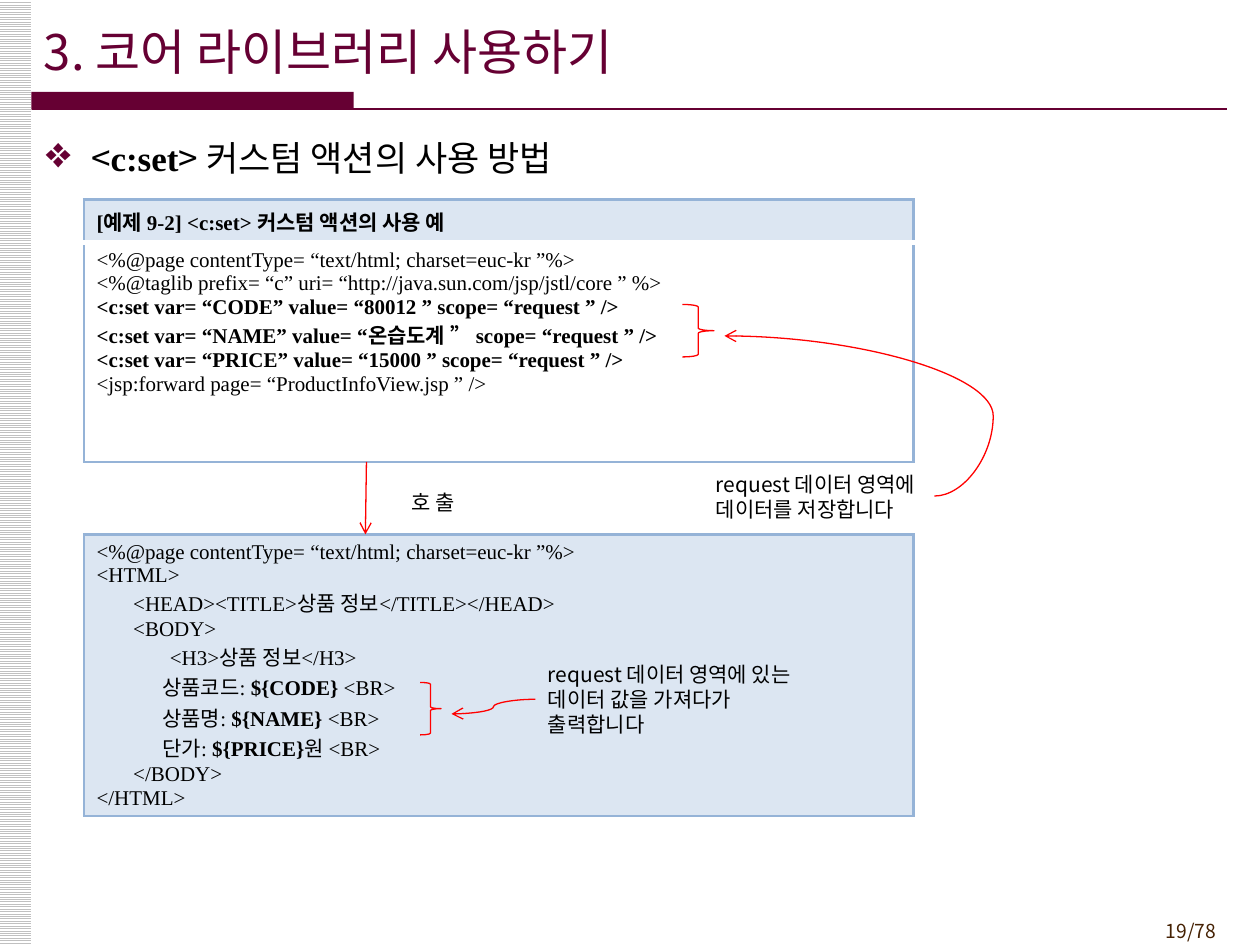
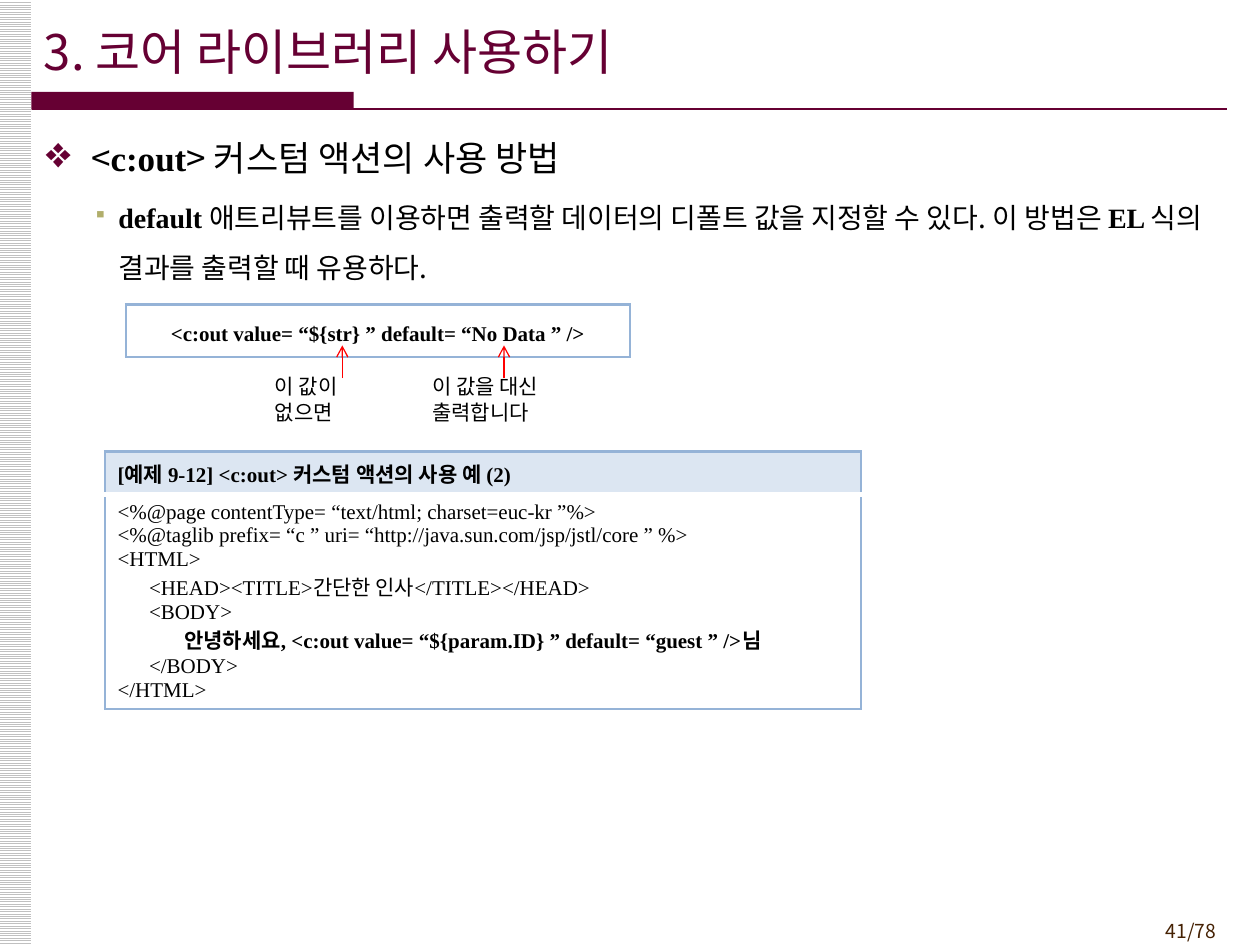
from dataclasses import dataclass

from lxml.etree import SubElement
from pptx import Presentation
from pptx.dml.color import RGBColor as RGB
from pptx.enum.dml import MSO_PATTERN as PATTERN
from pptx.enum.shapes import MSO_CONNECTOR as LINK, MSO_SHAPE as SHAPE
from pptx.enum.text import MSO_ANCHOR as ANCHOR, PP_ALIGN as ALIGN
from pptx.oxml.ns import qn
from pptx.util import Emu, Inches, Pt


@dataclass(frozen=True)
class Theme:
    wine: RGB = RGB.from_string("660033")
    olive: RGB = RGB.from_string("B1AE6B")
    brown: RGB = RGB.from_string("452103")
    black: RGB = RGB.from_string("000000")
    white: RGB = RGB.from_string("FFFFFF")
    stripe: RGB = RGB.from_string("C0C0C0")
    pale: RGB = RGB.from_string("DCE6F2")
    border: RGB = RGB.from_string("95B3D7")
    red: RGB = RGB.from_string("FF0000")
    sans: str = "Noto Sans CJK KR"
    serif: str = "Times New Roman"
    title: int = 28
    heading: int = 20
    detail: int = 16
    code: int = 12
    footer: int = 11


theme = Theme()
COLUMNS, ROWS = 120, 90
deck = Presentation()
deck.slide_width, deck.slide_height = Inches(10), Inches(7.5)
UNIT = deck.slide_width / COLUMNS


def grid(*cells):
    """Turn grid columns and rows into lengths."""
    return [Emu(round(cell * UNIT)) for cell in cells]


def write(frame, lines, size, color=theme.black, font=theme.sans):
    """Write one paragraph a line; text between asterisks is bold serif."""
    for number, line in enumerate(lines):
        para = frame.paragraphs[0] if number == 0 else frame.add_paragraph()
        for part, words in enumerate(line.split("*")):
            if not words:
                continue
            span = para.add_run()
            span.text = words
            span.font.size = Pt(size)
            span.font.bold = part % 2 == 1
            span.font.color.rgb = color
            span.font.name = theme.serif if part % 2 else font
            east = SubElement(span._r.get_or_add_rPr(), qn("a:ea"))
            east.set("typeface", theme.sans)


# Content: places are in grid columns and rows
set_example = [
    "<%@page contentType= “text/html; charset=euc-kr ”%>",
    "<%@taglib prefix= “c” uri= “http://java.sun.com/jsp/jstl/core ” %>",
    "*<c:set var= “CODE” value= “80012 ” scope= “request ” />*",
    "*<c:set var= “NAME” value= “온습도계 ” scope= “request ” />*",
    "*<c:set var= “PRICE” value= “15000 ” scope= “request ” />*",
    "<jsp:forward page= “ProductInfoView.jsp ” />",
]
product_view = [
    "<%@page contentType= “text/html; charset=euc-kr ”%>",
    "<HTML>",
    "       <HEAD><TITLE>상품 정보</TITLE></HEAD>",
    "       <BODY>",
    "              <H3>상품 정보</H3>",
    "              상품코드: *${CODE} *<BR>",
    "              상품명: *${NAME} *<BR>",
    "              단가: *${PRICE}*원 <BR>",
    "       </BODY>",
    "</HTML>",
]
out_example = [
    "<%@page contentType= “text/html; charset=euc-kr ”%>",
    "<%@taglib prefix= “c ” uri= “http://java.sun.com/jsp/jstl/core ” %>",
    "<HTML>",
    "      <HEAD><TITLE>간단한 인사</TITLE></HEAD>",
    "      <BODY>",
    "*              안녕하세요, <c:out value= “${param.ID} ” default= “guest ” />님*",
    "      </BODY>",
    "</HTML>",
]
# tables: left, top, width, centred, rows of (height, fill, lines)
# callouts: left, top, width, height, fill, lines
# arrows: kind, begin x, begin y, end x, end y, bend
pages = [
    {
        "footer": "19/78",
        "body": ["<*c:set*> 커스텀 액션의 사용 방법"],
        "tables": [
            (8, 19, 79, False, [
                (4.1, theme.pale, ["*[예제 9-2] <c:set> 커스텀 액션의 사용 예*"]),
                (20.9, theme.white, set_example)]),
            (8, 50.9, 79, False, [(26.8, theme.pale, product_view)]),
        ],
        "callouts": [
            (67, 44.8, 22.6, 5, theme.white,
             ["request 데이터 영역에", "데이터를 저장합니다"]),
            (51, 64.1, 28, 5, None,
             ["request 데이터 영역에 있는", "데이터 값을 가져다가 출력합니다"]),
            (38, 46.3, 8, 3, theme.white, ["호 출"]),
        ],
        "braces": [(65, 29, 3, 5), (40, 65, 2, 5)],
        "arrows": [
            (LINK.STRAIGHT, 34.9, 44, 34.8, 50.9, None),
            (LINK.CURVE, 89, 47.25, 69, 32, -0.28),
            (LINK.CURVE, 51, 66.6, 43, 68, 0.5),
        ],
    },
    {
        "footer": "41/78",
        "body": ["<*c:out*> 커스텀 액션의 사용 방법",
                 "*default *애트리뷰트를 이용하면 출력할 데이터의 디폴트 값을 "
                 "지정할 수 있다. 이 방법은 *EL *식의 결과를 출력할 때 유용하다."],
        "tables": [
            (12, 29, 48, True, [
                (5, None, ["*<c:out value= “${str} ” default= “No Data ” />*"])]),
            (10, 43, 72, False, [
                (4.1, theme.pale, ["*[예제 9-12] <c:out> 커스텀 액션의 사용 예 (2)*"]),
                (20.4, theme.white, out_example)]),
        ],
        "callouts": [
            (25, 36, 14, 4, theme.white, ["이 값이 없으면"]),
            (40, 36, 21.4, 4, theme.white, ["이 값을 대신 출력합니다"]),
        ],
        "braces": [],
        "arrows": [(LINK.STRAIGHT, x, 36, x, 32.9, None) for x in (32.6, 48)],
    },
]
# bullets: mark, colour, percent of text size, margin, hanging indent
bullets = [("❖", theme.wine, 125, 4.5, 4.3), ("▪", theme.olive, 70, 7.1, 2.4)]

for content in pages:
    page = deck.slides.add_slide(deck.slide_layouts[6])
    shapes = page.shapes

    # Striped side band
    band = shapes.add_shape(SHAPE.RECTANGLE, *grid(0, 0, 3, ROWS))
    band.shadow.inherit = False
    band.fill.patterned()
    band.fill.pattern = PATTERN.LIGHT_HORIZONTAL
    band.fill.fore_color.rgb = theme.stripe
    band.fill.back_color.rgb = theme.white
    band.line.fill.background()

    # Page number
    footer = shapes.add_textbox(*grid(107, 87, 10, 3.5)).text_frame
    footer.word_wrap = True
    write(footer, [content["footer"]], theme.footer, theme.brown)
    footer.paragraphs[0].alignment = ALIGN.RIGHT

    # Title with its bar and rule
    bar = shapes.add_shape(SHAPE.RECTANGLE, *grid(3, 8.75, 30.7, 1.7))
    bar.shadow.inherit = False
    bar.fill.solid()
    bar.fill.fore_color.rgb = theme.wine
    bar.line.fill.background()
    rule = shapes.add_connector(LINK.STRAIGHT, *grid(3, 10.4, 116.9, 10.4))
    rule.line.color.rgb = theme.wine
    rule.line.width = Pt(1.5)
    SubElement(rule.element.spPr, qn("a:effectLst"))
    title = shapes.add_textbox(*grid(3, 1.1, 111, 7.5)).text_frame
    title.word_wrap = True
    title.vertical_anchor = ANCHOR.MIDDLE
    write(title, ["3. 코어 라이브러리 사용하기"], theme.title, theme.wine)

    # Bulleted heading and detail
    body = shapes.add_textbox(*grid(3, 12.4, 114, 75)).text_frame
    body.word_wrap = True
    write(body, content["body"], theme.heading)
    for para, bullet in zip(body.paragraphs, bullets):
        mark, color, percent, margin, hang = bullet
        layout = para._p.get_or_add_pPr()
        layout.set("marL", str(grid(margin)[0]))
        layout.set("indent", str(-grid(hang)[0]))
        tint = SubElement(layout, qn("a:buClr"))
        SubElement(tint, qn("a:srgbClr")).set("val", str(color))
        SubElement(layout, qn("a:buSzPct")).set("val", str(percent * 1000))
        SubElement(layout, qn("a:buChar")).set("char", mark)
    for detail in body.paragraphs[1:]:
        detail.line_spacing = 1.5
        detail.space_before, detail.space_after = Pt(3), Pt(3)
        for span in detail.runs:
            span.font.size = Pt(theme.detail)

    # Code tables
    for left, top, width, centred, rows in content["tables"]:
        height = sum(row[0] for row in rows)
        table = shapes.add_table(
            len(rows), 1, *grid(left, top, width, height)).table
        table.first_row = table.horz_banding = False
        for number, (height, fill, lines) in enumerate(rows):
            table.rows[number].height = grid(height)[0]
            cell = table.cell(number, 0)
            write(cell.text_frame, lines, theme.code, font=theme.serif)
            if centred:
                cell.text_frame.paragraphs[0].alignment = ALIGN.CENTER
                cell.text_frame.paragraphs[0].line_spacing = 1.5
            inner = {"T": number > 0, "B": number < len(rows) - 1}
            for side in "LRTB":
                split = inner.get(side, False)
                edge = SubElement(cell._tc.get_or_add_tcPr(), qn("a:ln" + side))
                edge.set("w", str(Pt(3 if split else 1.5)))
                paint = SubElement(edge, qn("a:solidFill"))
                color = theme.white if split else theme.border
                SubElement(paint, qn("a:srgbClr")).set("val", str(color))
            if fill is None:
                cell.fill.background()
            else:
                cell.fill.solid()
                cell.fill.fore_color.rgb = fill

    # Callouts
    for left, top, width, height, fill, lines in content["callouts"]:
        box = shapes.add_textbox(*grid(left, top, width, height))
        if fill is not None:
            box.fill.solid()
            box.fill.fore_color.rgb = fill
        box.text_frame.word_wrap = True
        box.text_frame.vertical_anchor = ANCHOR.MIDDLE
        write(box.text_frame, lines, theme.code)

    # Braces
    for place in content["braces"]:
        brace = shapes.add_shape(SHAPE.RIGHT_BRACE, *grid(*place))
        brace.shadow.inherit = False
        brace.fill.background()
        brace.line.color.rgb = theme.red
        brace.line.width = Pt(0.75)

    # Arrows
    for kind, *ends, bend in content["arrows"]:
        arrow = shapes.add_connector(kind, *grid(*ends))
        arrow.line.color.rgb = theme.red
        arrow.line.width = Pt(0.75)
        outline = arrow.element.spPr
        SubElement(outline.find(qn("a:ln")), qn("a:tailEnd")).set("type", "arrow")
        SubElement(outline, qn("a:effectLst"))
        if bend is not None:
            guides = outline.find(qn("a:prstGeom")).find(qn("a:avLst"))
            guide = SubElement(guides, qn("a:gd"))
            guide.set("name", "adj1")
            guide.set("fmla", f"val {round(bend * 100000)}")

deck.save("out.pptx")
